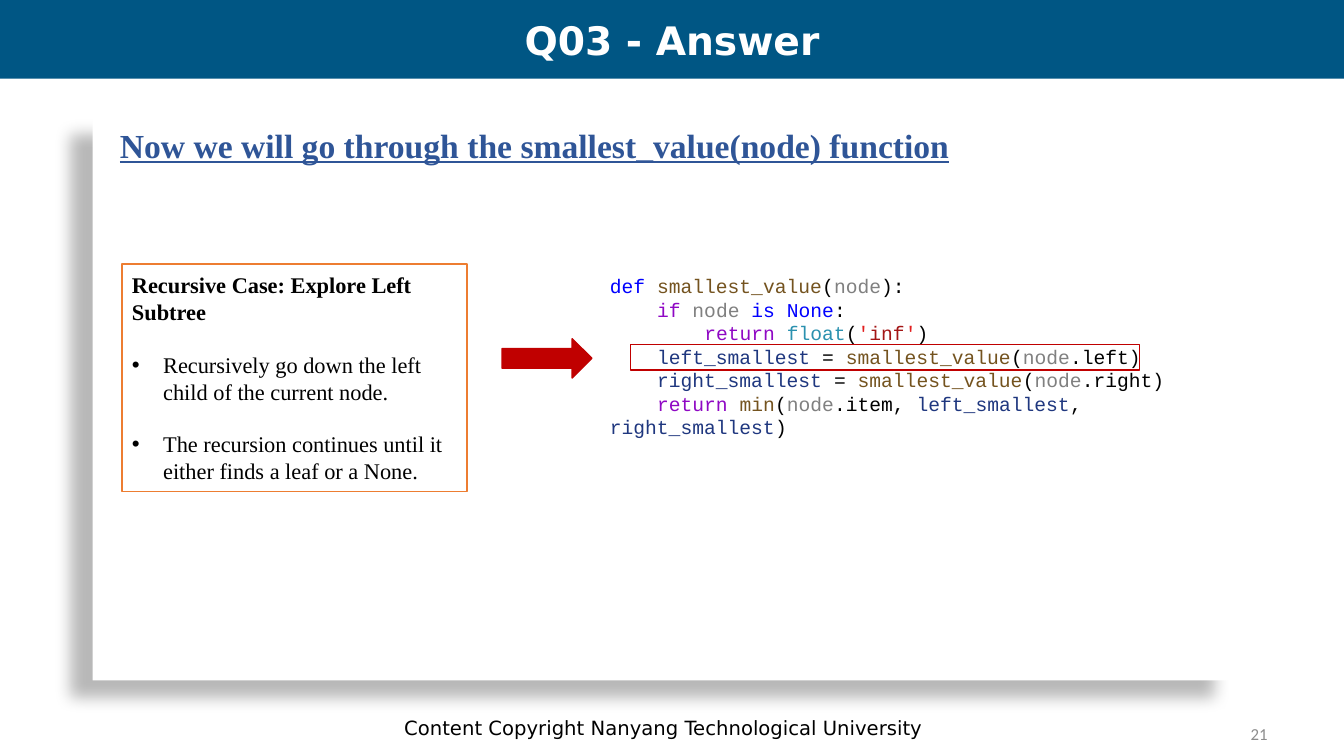
from lxml import etree
from pptx import Presentation
from pptx.dml.color import RGBColor
from pptx.enum.shapes import MSO_SHAPE
from pptx.enum.text import MSO_ANCHOR, PP_ALIGN
from pptx.oxml.ns import qn
from pptx.util import Inches, Pt

RECT, ARROW = MSO_SHAPE.RECTANGLE, MSO_SHAPE.RIGHT_ARROW
TOP, MIDDLE = MSO_ANCHOR.TOP, MSO_ANCHOR.MIDDLE
LEFT, CENTER, RIGHT = PP_ALIGN.LEFT, PP_ALIGN.CENTER, PP_ALIGN.RIGHT

SANS, SERIF, MONO = "DejaVu Sans", "Times New Roman", "Courier New"
BLACK, WHITE, RED = "000000", "FFFFFF", "C00000"
KEYWORD, CONTROL, CALL, TYPE = "0000FF", "8F08C4", "74531F", "2B91AF"
PARAM, LOCAL, QUOTE, STRING = "808080", "1F377F", "E21F1F", "A31515"


def side_lines(side):
    return [("    ", BLACK), (f"{side}_smallest", LOCAL), (" = ", BLACK),
            ("smallest_value", CALL), ("(", BLACK), ("node", PARAM), (f".{side})", BLACK)]


CODE = [
    [("def ", KEYWORD), ("smallest_value", CALL), ("(", BLACK), ("node", PARAM), ("):", BLACK)],
    [("    ", BLACK), ("if ", CONTROL), ("node ", PARAM), ("is None", KEYWORD), (":", BLACK)],
    [("        ", BLACK), ("return ", CONTROL), ("float", TYPE), ("(", BLACK),
     ("'", QUOTE), ("inf", STRING), ("'", QUOTE), (")", BLACK)],
    side_lines("left"),
    side_lines("right"),
    [("    ", BLACK), ("return ", CONTROL), ("min", CALL), ("(", BLACK), ("node", PARAM),
     (".item, ", BLACK), ("left_smallest", LOCAL), (", ", BLACK),
     ("right_smallest", LOCAL), (")", BLACK)],
]
CASE_TITLE = "Recursive Case: Explore Left Subtree"
CASE_POINTS = ["Recursively go down the left child of the current node.",
               "The recursion continues until it either finds a leaf or a None."]


def rgb(value):
    return RGBColor.from_string(value)


class Deck:
    def __init__(self, width, height):
        self.prs = Presentation()
        self.prs.slide_width, self.prs.slide_height = Inches(width), Inches(height)
        self.s = self.prs.slides.add_slide(self.prs.slide_layouts[6])

    def place(self, left, top, width, height):
        col, row = self.prs.slide_width / 100, self.prs.slide_height / 100
        return int(left * col), int(top * row), int(width * col), int(height * row)

    def shape(self, kind, at, fill=None, line=None):
        sp = self.s.shapes.add_shape(kind, *self.place(*at))
        sp.shadow.inherit = False
        if fill:
            sp.fill.solid()
            sp.fill.fore_color.rgb = rgb(fill)
        else:
            sp.fill.background()
        if line:
            sp.line.color.rgb = rgb(line)
            sp.line.width = Pt(1)
        else:
            sp.line.fill.background()
        return sp

    def cast_shadow(self, sp, blur, distance, angle, opacity):
        effects = sp._element.spPr.find(qn("a:effectLst"))
        shadow = etree.SubElement(effects, qn("a:outerShdw"), blurRad=str(Pt(blur)),
                                  dist=str(Pt(distance)), dir=str(angle * 60000),
                                  algn="ctr", rotWithShape="0")
        color = etree.SubElement(shadow, qn("a:srgbClr"), val=BLACK)
        etree.SubElement(color, qn("a:alpha"), val=str(opacity * 1000))

    def text(self, at, value, size, font, color, align=LEFT, anchor=TOP, **style):
        tf = self.s.shapes.add_textbox(*self.place(*at)).text_frame
        tf.word_wrap = True
        tf.vertical_anchor = anchor
        tf.text = value
        p = tf.paragraphs[0]
        p.alignment = align
        self.style(p.runs[0], size, font, color, **style)

    def style(self, r, size, font, color, bold=False, underline=False):
        r.font.size, r.font.name = Pt(size), font
        r.font.bold, r.font.underline = bold, underline
        r.font.color.rgb = rgb(color)

    def code(self, at, lines, size):
        tf = self.s.shapes.add_textbox(*self.place(*at)).text_frame
        tf.word_wrap = True
        for i, line in enumerate(lines):
            p = tf.add_paragraph() if i else tf.paragraphs[0]
            for token, color in line:
                r = p.add_run()
                r.text = token
                self.style(r, size, MONO, color)

    def bullet_box(self, at, title, points, size, line):
        tf = self.shape(RECT, at, line=line).text_frame
        tf.word_wrap = True
        tf.vertical_anchor = MIDDLE
        tf.text = "\n".join([title] + points)
        for i, p in enumerate(tf.paragraphs):
            p.alignment = LEFT
            if i:
                pPr = p._p.get_or_add_pPr()
                pPr.set("marL", str(Inches(0.31)))
                pPr.set("indent", str(-Inches(0.31)))
                etree.SubElement(pPr, qn("a:buFont"), typeface="Arial")
                etree.SubElement(pPr, qn("a:buChar"), char="•")
                p.space_before = Pt(size * 1.15)
            self.style(p.runs[0], size, SERIF, BLACK, bold=i == 0)


def main():
    deck = Deck(13.33, 7.5)
    card = deck.shape(RECT, (6.9, 15.6, 85, 74.4), fill=WHITE)
    deck.cast_shadow(card, blur=11.8, distance=19.7, angle=141, opacity=28)
    deck.shape(RECT, (0, 0, 100, 10.4), fill="005684")
    deck.text((13.43, 93.6, 71.87, 5.33), "Content Copyright Nanyang Technological University",
              14, SANS, BLACK, CENTER, MIDDLE)
    deck.text((71.72, 94.4, 23.33, 5.33), "21", 12, "Calibri", "8C8C8C", RIGHT, MIDDLE)
    deck.code((44.64, 35.6, 50, 20.13), CODE, 14)
    deck.text((0, 0.53, 100, 9.47), "Q03 - Answer", 28, SANS, WHITE, CENTER, MIDDLE, bold=True)
    deck.text((8.18, 15.87, 81.25, 6.67),
              "Now we will go through the smallest_value(node) function",
              24, SERIF, "2F5597", bold=True, underline=True)
    deck.bullet_box((9.08, 34.93, 25.66, 30.13), CASE_TITLE, CASE_POINTS, 16, "ED7D31")
    deck.shape(RECT, (46.89, 45.6, 37.88, 3.33), line=RED)
    deck.shape(ARROW, (37.36, 44.8, 6.68, 5.2), fill=RED, line=RED)
    deck.prs.save("out.pptx")


if __name__ == "__main__":
    main()
